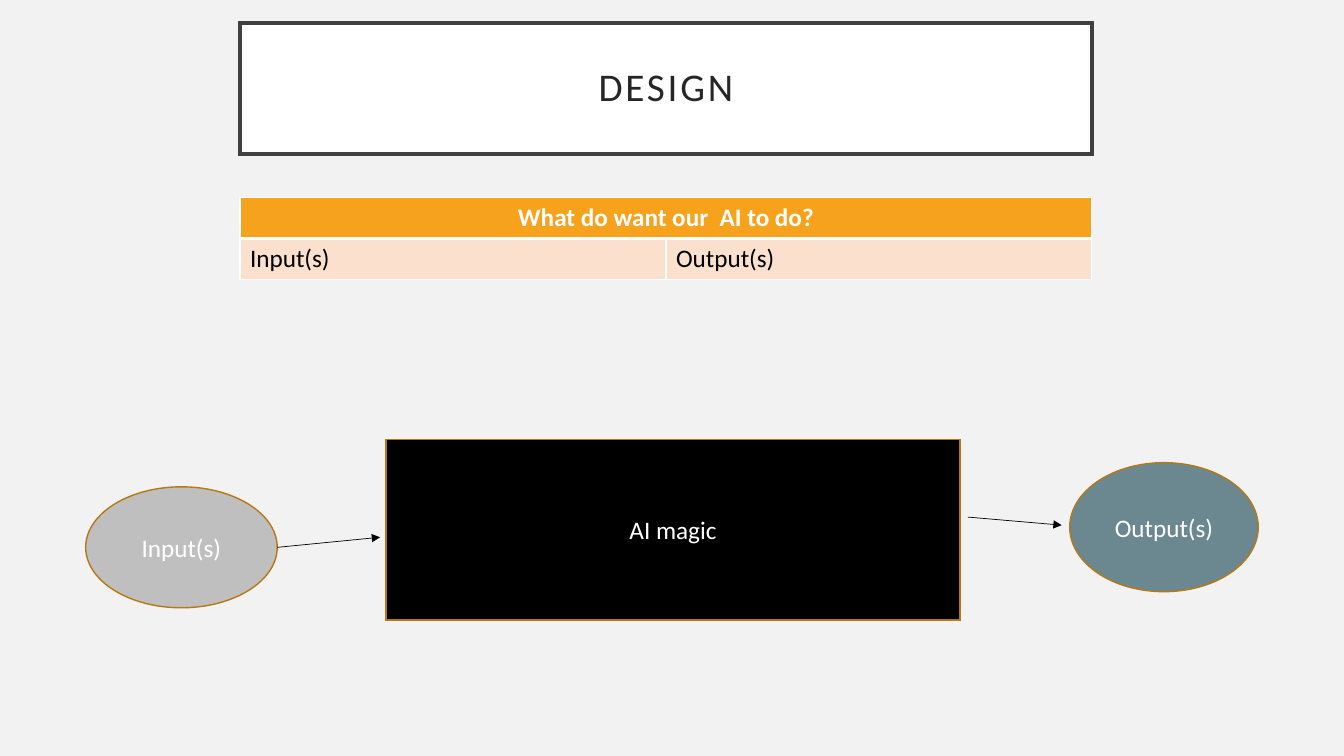
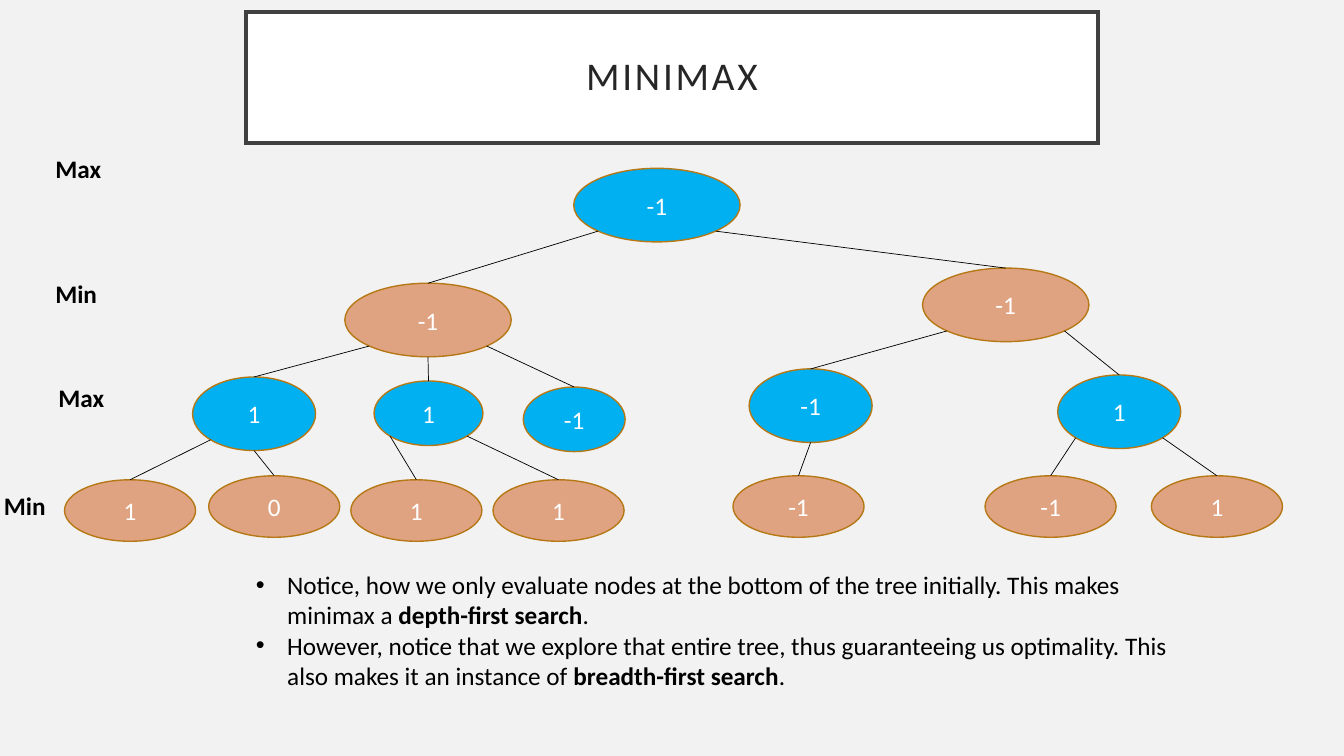
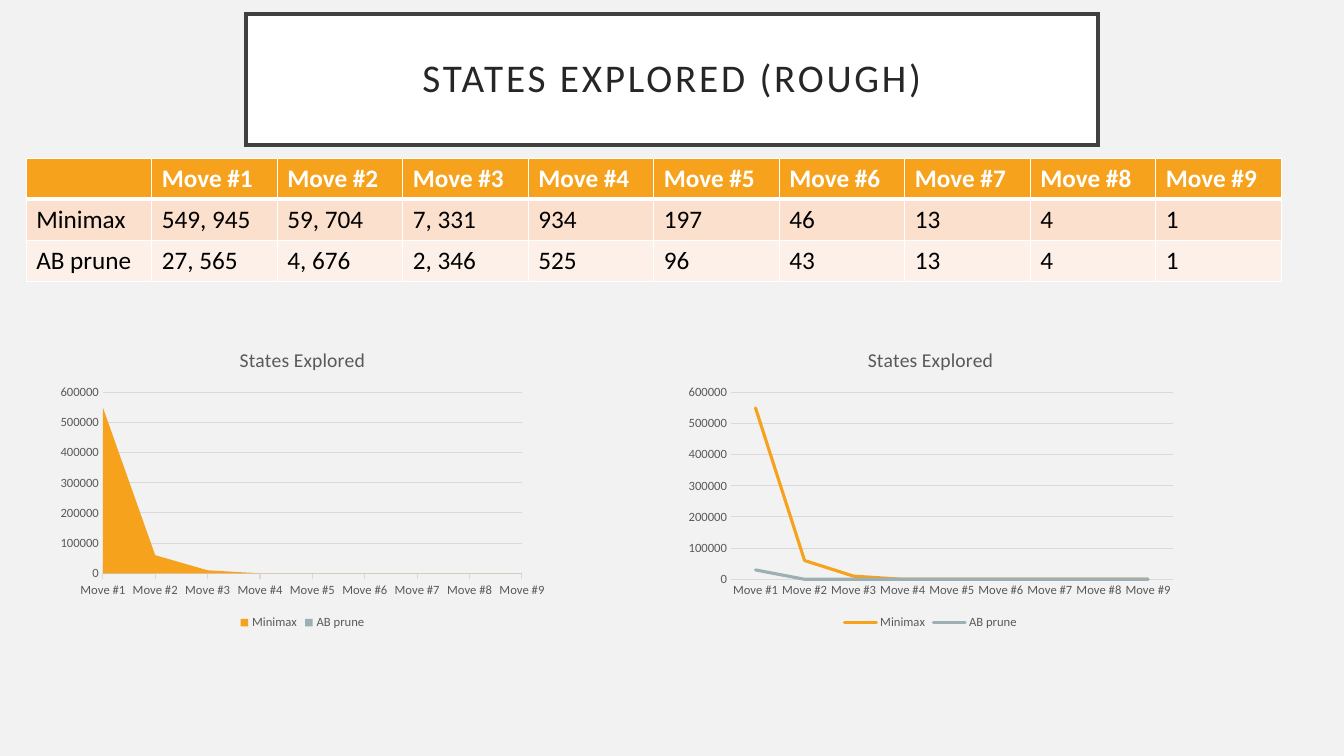
from dataclasses import dataclass
from math import sqrt

from lxml.etree import SubElement
from pptx import Presentation
from pptx.chart.data import CategoryChartData
from pptx.dml.color import RGBColor
from pptx.enum.chart import XL_CHART_TYPE, XL_LEGEND_POSITION, XL_TICK_MARK
from pptx.enum.shapes import MSO_CONNECTOR, MSO_SHAPE
from pptx.enum.text import MSO_ANCHOR, PP_ALIGN
from pptx.oxml.ns import qn
from pptx.util import Inches, Pt


@dataclass(frozen=True)
class Theme:
    font: str = "Calibri"
    page: str = "F2F2F2"
    white: str = "FFFFFF"
    black: str = "000000"
    frame: str = "404040"
    head: str = "262626"
    edge: str = "B67815"
    orange: str = "F6A21D"
    mist: str = "9BAFB5"
    bands: tuple = ("FBE0CD", "FDF0E8")
    source: str = "BFBFBF"
    result: str = "6B8891"
    levels: tuple = ("00B0F0", "E0A382")
    grid: str = "D9D9D9"
    label: str = "595959"
    title: int = 28
    body: int = 18
    chart: int = 14
    axis: int = 9


T = Theme()
MOVES = [f"Move #{n}" for n in range(1, 10)]
STATES = {
    "Minimax": [549945, 59704, 7331, 934, 197, 46, 13, 4, 1],
    "AB prune": [27565, 4676, 2346, 525, 96, 43, 13, 4, 1],
}
WIDE, MID, LEAF = (1.65, 0.73), (1.22, 0.73), (1.3, 0.61)
TREE = ("-1", 5.05, 0, WIDE, [
    (-1, ("-1", 2.78, 1.14, WIDE, [
        (-1, ("1", 1.27, 2.07, MID, [
            (-1, ("1", 0, 3.09, LEAF, [])),
            (0, ("0", 1.43, 3.05, LEAF, []))])),
        (0, ("1", 3.07, 2.11, (1.08, 0.64), [
            (-1, ("1", 2.84, 3.09, LEAF, [])),
            (1, ("1", 4.25, 3.09, LEAF, []))])),
        (1, ("-1", 4.55, 2.17, (1.01, 0.64), []))])),
    (1, ("-1", 8.51, 0.99, WIDE, [
        (-1, ("-1", 6.79, 1.99, MID, [
            (0, ("-1", 6.63, 3.05, LEAF, []))])),
        (1, ("1", 9.85, 2.05, MID, [
            (-1, ("-1", 9.13, 3.05, LEAF, [])),
            (1, ("1", 10.78, 3.05, LEAF, []))]))])),
])
LABELS = [("Max", 0, 0), ("Min", 0, 1.24), ("Max", 0.03, 2.27), ("Min", -0.51, 3.35)]
NOTES = [
    [("Notice, how we only evaluate nodes at the bottom of the tree initially. "
      "This makes minimax a ", False), ("depth-first search", True), (".", False)],
    [("However, notice that we explore that entire tree, thus guaranteeing us optimality. "
      "This also makes it an instance of ", False), ("breadth-first search", True), (".", False)],
]


def tint(color):
    return RGBColor.from_string(color)


def style(font, size, color, bold=False):
    font.name, font.size, font.bold = T.font, Pt(size), bold
    font.color.rgb = tint(color)


def write(frame, text, size=T.body, color=T.black, bold=False, align=None,
          track=0, lead=None, bullet=False):
    paras = [[(text, bold)]] if isinstance(text, str) else text
    for i, runs in enumerate(paras):
        para = frame.add_paragraph() if i else frame.paragraphs[0]
        if bullet:
            props = para._p.get_or_add_pPr()
            props.set("marL", str(Inches(0.31)))
            props.set("indent", str(-Inches(0.31)))
            SubElement(props, qn("a:buFont")).set("typeface", "Arial")
            SubElement(props, qn("a:buChar")).set("char", "•")
        if align is not None:
            para.alignment = align
        if lead:
            para.line_spacing = lead
        for words, strong in runs:
            run = para.add_run()
            run.text = words
            style(run.font, size, color, strong)
            if track:
                run._r.get_or_add_rPr().set("spc", str(track * 100))


def shape(slide, kind, box, fill, text, edge=T.edge, width=1, pad=None, **form):
    item = slide.shapes.add_shape(kind, *map(Inches, box))
    item.shadow.inherit = False
    item.fill.solid()
    item.fill.fore_color.rgb = tint(fill)
    item.line.color.rgb = tint(edge)
    item.line.width = Pt(width)
    SubElement(item.line._get_or_add_ln(), qn("a:miter")).set("lim", "800000")
    frame = item.text_frame
    frame.word_wrap = True
    frame.vertical_anchor = MSO_ANCHOR.MIDDLE
    if pad:
        frame.margin_left = frame.margin_right = Inches(pad)
        frame.margin_top = frame.margin_bottom = Inches(pad)
    write(frame, text, align=PP_ALIGN.CENTER, **{"color": T.white, **form})
    return item


def label(slide, box, text, **form):
    frame = slide.shapes.add_textbox(*map(Inches, box)).text_frame
    frame.word_wrap = True
    write(frame, text, **form)


def link(slide, start, end, arrow=False):
    line = slide.shapes.add_connector(MSO_CONNECTOR.STRAIGHT, *map(Inches, (*start, *end)))
    line.line.color.rgb = tint(T.black)
    line.line.width = Pt(0.5)
    if arrow:
        SubElement(line.line._get_or_add_ln(), qn("a:tailEnd")).set("type", "triangle")
    SubElement(line._element.spPr, qn("a:effectLst"))
    return line


def base(deck, title, left, top):
    slide = deck.slides.add_slide(deck.slide_layouts[6])
    slide.background.fill.solid()
    slide.background.fill.fore_color.rgb = tint(T.page)
    shape(slide, MSO_SHAPE.RECTANGLE, (left, top, 8.45, 1.3), T.white, title, edge=T.frame,
          width=2.5, pad=0.2, size=T.title, color=T.head, track=2, lead=0.9)
    return slide


def border(cell, top, bottom):
    props = cell._tc.get_or_add_tcPr()
    sides = (("L", 1), ("R", 1), ("T", top), ("B", bottom))
    for i, (side, width) in enumerate(sides):
        line = SubElement(props, qn(f"a:ln{side}"))
        line.set("w", str(Pt(width)))
        fill = SubElement(line, qn("a:solidFill"))
        SubElement(fill, qn("a:srgbClr")).set("val", T.white)
        props.insert(i, line)


def table(slide, box, rows, span=False):
    grid = slide.shapes.add_table(len(rows), len(rows[0]), *map(Inches, box)).table
    grid.horz_banding = False
    for column in grid.columns:
        column.width = Inches(box[2] / len(rows[0]))
    for i, row in enumerate(rows):
        grid.rows[i].height = Inches(box[3] / len(rows))
        for j, text in enumerate(row):
            cell = grid.cell(i, j)
            cell.fill.solid()
            cell.fill.fore_color.rgb = tint(T.bands[(i - 1) % 2] if i else T.orange)
            border(cell, 3 if i == 1 else 1, 1 if i else 3)
            if text:
                write(cell.text_frame, text, color=T.black if i else T.white, bold=not i,
                      align=PP_ALIGN.CENTER if span and not i else None)
    if span:
        grid.cell(0, 0).merge(grid.cell(0, len(rows[0]) - 1))


def flow(slide, box):
    x, y = box[:2]
    shape(slide, MSO_SHAPE.RECTANGLE, (x + 2.98, y, 5.69, 1.79), T.black, "AI magic")
    shape(slide, MSO_SHAPE.OVAL, (x, y + 0.47, 1.9, 1.2), T.source, "Input(s)")
    shape(slide, MSO_SHAPE.OVAL, (x + 9.76, y + 0.23, 1.87, 1.28), T.result, "Output(s)")
    link(slide, (x + 1.9, y + 1.07), (x + 2.92, y + 0.97), arrow=True)
    link(slide, (x + 8.75, y + 0.77), (x + 9.68, y + 0.85), arrow=True)


def tree(slide, box, node, depth=0):
    text, left, top, (wide, high), kids = node
    x, y = box[0] + left, box[1] + top
    oval = shape(slide, MSO_SHAPE.OVAL, (x, y, wide, high), T.levels[depth % 2], text)
    for side, kid in kids:
        child = tree(slide, box, kid, depth + 1)
        drop = 1 / sqrt(2) if side else 1
        start = (x + wide / 2 * (1 + side / sqrt(2)), y + high / 2 * (1 + drop))
        link(slide, start, start).end_connect(child, 0)
    return oval


def levels(slide, box):
    for text, dx, dy in LABELS:
        label(slide, (box[0] + dx, box[1] + dy, 0.85, 0.4), text, bold=True)


def chart(slide, box, kind):
    data = CategoryChartData()
    data.categories = MOVES
    for name, counts in STATES.items():
        data.add_series(name, [round(n, -4) for n in counts])
    plot = slide.shapes.add_chart(kind, *map(Inches, box), data).chart
    style(plot.font, T.axis, T.label)
    plot.has_title = True
    write(plot.chart_title.text_frame, "States Explored", size=T.chart, color=T.label)
    plot.has_legend = True
    plot.legend.position = XL_LEGEND_POSITION.BOTTOM
    plot.legend.include_in_layout = False
    style(plot.legend.font, T.axis, T.label)
    lined = kind == XL_CHART_TYPE.LINE
    plot.plots[0].vary_by_categories = False
    for axis in (plot.category_axis, plot.value_axis):
        axis.major_tick_mark = axis.minor_tick_mark = XL_TICK_MARK.NONE
        style(axis.tick_labels.font, T.axis, T.label)
    if not lined:
        plot.category_axis.major_tick_mark = XL_TICK_MARK.OUTSIDE
    plot.category_axis.has_major_gridlines = False
    plot.value_axis.has_major_gridlines = True
    plot.value_axis.format.line.fill.background()
    for line in (plot.category_axis.format.line, plot.value_axis.major_gridlines.format.line):
        line.color.rgb = tint(T.grid)
        line.width = Pt(0.75)
    for series, color in zip(plot.plots[0].series, (T.orange, T.mist)):
        if lined:
            series.smooth = False
            series.format.line.color.rgb = tint(color)
            series.format.line.width = Pt(2.25)
            series.format.line._get_or_add_ln().set("cap", "rnd")
        else:
            series.format.fill.solid()
            series.format.fill.fore_color.rgb = tint(color)


def design(deck):
    slide = base(deck, "DESIGN", 2.38, 0.23)
    rows = [["What do want our  AI to do?", ""], ["Input(s)", "Output(s)"]]
    table(slide, (2.38, 1.96, 8.45, 0.81), rows, span=True)
    flow(slide, (0.85, 4.36, 11.63, 1.79))


def minimax(deck):
    slide = base(deck, "MINIMAX", 2.44, 0.12)
    tree(slide, (0.64, 1.67, 12.08, 3.7), TREE)
    levels(slide, (0.45, 1.47, 0.88, 3.75))
    label(slide, (2.44, 5.6, 9.28, 1.31), NOTES, bullet=True)


def states(deck):
    slide = base(deck, "STATES EXPLORED (ROUGH)", 2.44, 0.14)
    rows = [["", *MOVES]]
    for name, counts in STATES.items():
        rows.append([name, *(f"{n:,}".replace(",", ", ") for n in counts)])
    table(slide, (0.26, 1.57, 12.45, 1.22), rows)
    for left, kind in ((0.5, XL_CHART_TYPE.AREA), (6.73, XL_CHART_TYPE.LINE)):
        chart(slide, (left, 3.29, 5, 3), kind)


def main():
    deck = Presentation()
    deck.slide_width, deck.slide_height = Inches(13.33), Inches(7.5)
    for build in (design, minimax, states):
        build(deck)
    deck.save("out.pptx")


if __name__ == "__main__":
    main()
